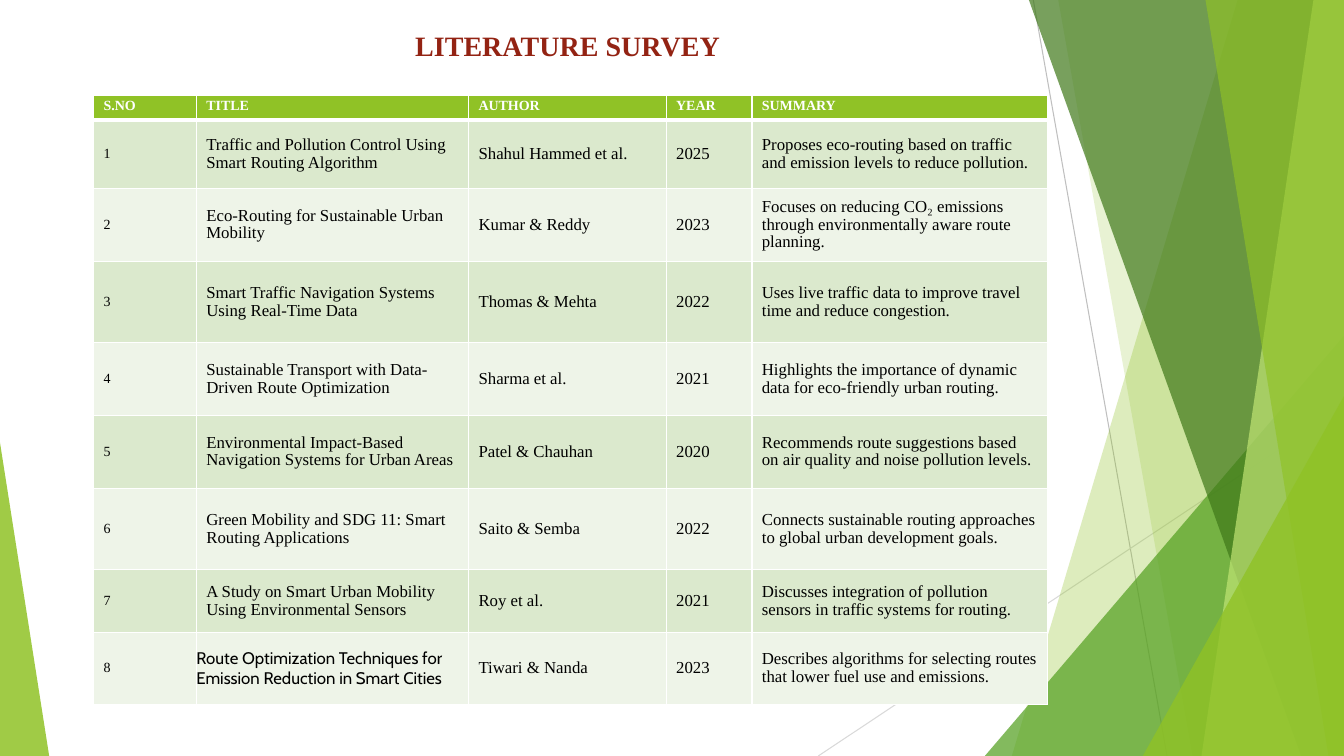
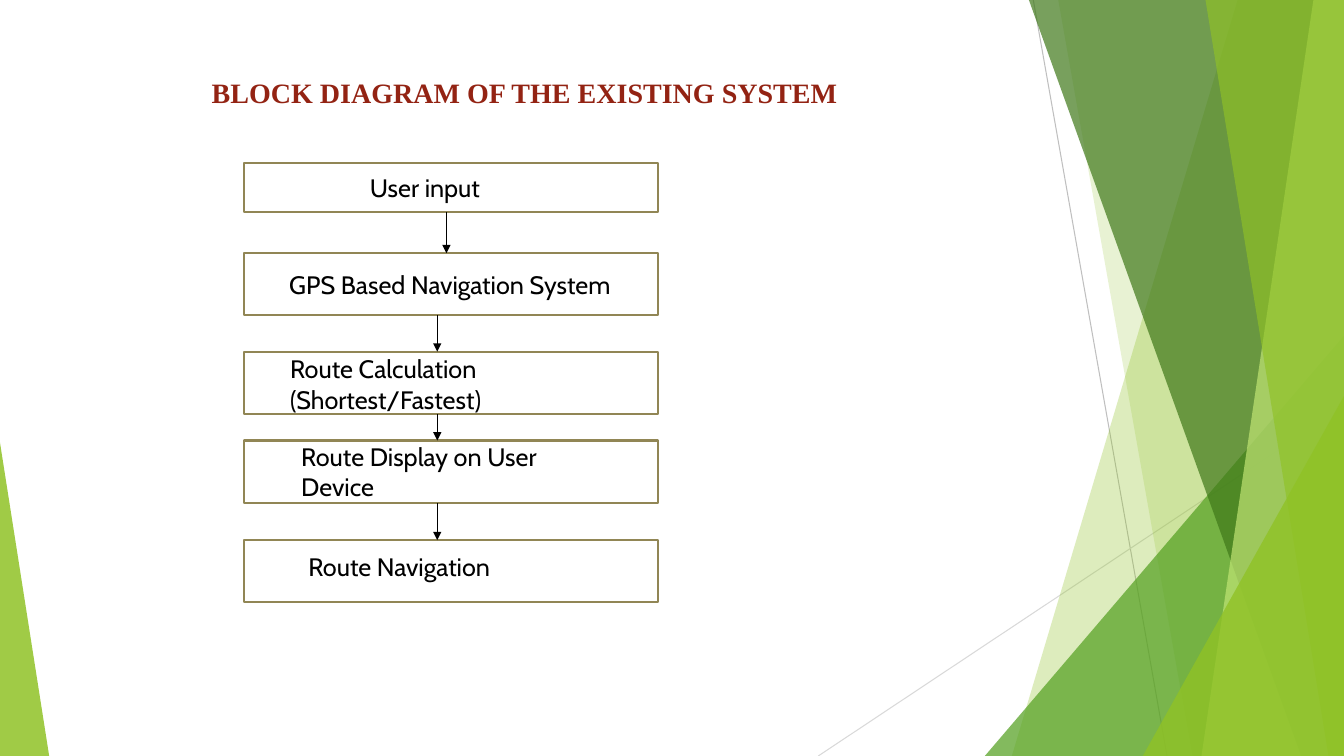
from itertools import pairwise

from lxml.etree import SubElement
from pptx import Presentation
from pptx.dml.color import RGBColor
from pptx.enum.shapes import MSO_CONNECTOR as Connector, MSO_SHAPE as Preset
from pptx.enum.text import MSO_ANCHOR as Anchor, MSO_AUTO_SIZE as AutoSize, PP_ALIGN as Align
from pptx.oxml.ns import qn
from pptx.util import Cm, Pt

WIDTH, HEIGHT = 33.87, 19.05
SERIF, SANS = "Times New Roman", "Cabin"
WHITE, BLACK, RED, OLIVE = "FFFFFF", "000000", "932313", "918655"
LIME, GREEN, FOREST, PALE = "90C226", "54A021", "3F7819", "C0E474"
BANDS = "DBE9CD", "EEF4E8"

COLUMNS = 2.59, 6.86, 4.98, 2.16, 7.44
ROWS = 0.61, 1.73, 1.83, 2.06, 1.83, 1.83, 2.06, 1.57, 1.83
HEADINGS = "S.NO", "TITLE", "AUTHOR", "YEAR", "SUMMARY"
PAPERS = [
    ("Traffic and Pollution Control Using Smart Routing Algorithm", "Shahul Hammed et al.", "2025",
     "Proposes eco-routing based on traffic and emission levels to reduce pollution."),
    ("Eco-Routing for Sustainable Urban Mobility", "Kumar & Reddy", "2023",
     "Focuses on reducing CO₂ emissions through environmentally aware route planning."),
    ("Smart Traffic Navigation Systems Using Real-Time Data", "Thomas & Mehta", "2022",
     "Uses live traffic data to improve travel time and reduce congestion."),
    ("Sustainable Transport with Data-Driven Route Optimization", "Sharma et al.", "2021",
     "Highlights the importance of dynamic data for eco-friendly urban routing."),
    ("Environmental Impact-Based Navigation Systems for Urban Areas", "Patel & Chauhan", "2020",
     "Recommends route suggestions based on air quality and noise pollution levels."),
    ("Green Mobility and SDG 11: Smart Routing Applications", "Saito & Semba", "2022",
     "Connects sustainable routing approaches to global urban development goals."),
    ("A Study on Smart Urban Mobility Using Environmental Sensors", "Roy et al.", "2021",
     "Discusses integration of pollution sensors in traffic systems for routing."),
    ("Route Optimization Techniques for Emission Reduction in Smart Cities", "Tiwari & Nanda", "2023",
     "Describes algorithms for selecting routes that lower fuel use and emissions."),
]

BOX_LEFT, BOX_WIDTH = 6.15, 10.44
STAGES = [
    (4.11, 1.24, "User input", (9.07, 4.22, 9.19, 1.02)),
    (6.38, 1.57, "GPS Based Navigation System", (7.04, 6.65, 9.58, 1.02)),
    (8.86, 1.57, "Route Calculation (Shortest/Fastest)", (7.06, 8.79, 8.61, 1.8)),
    (11.1, 1.57, "Route Display on User Device", (7.34, 11, 7.8, 1.8)),
    (13.61, 1.57, "Route Navigation", (7.52, 13.77, 8.61, 1.02)),
]
ARROW_X = 11.25, 11.02, 11.02, 11.02


def color(code):
    """Turn a hex string into a colour."""
    return RGBColor.from_string(code)


class Deck:
    """Holds the presentation, its style and the current page."""

    def __init__(self):
        """Open a wide presentation with its title-only layout."""
        self.show = Presentation()
        self.show.slide_width, self.show.slide_height = Cm(WIDTH), Cm(HEIGHT)
        self.layout = self.show.slide_layouts[5]
        self.page = None

    def new_page(self, title, left, top, width, height):
        """Add a page and format its title."""
        self.page = self.show.slides.add_slide(self.layout)
        box = self.page.shapes.title
        self.place(box, left, top, width, height)
        frame = box.text_frame
        frame.auto_size, frame.word_wrap = AutoSize.NONE, True
        frame.vertical_anchor = Anchor.TOP
        self.add_text(frame, title, 20, RED, SERIF, bold=True)

    def place(self, box, *lengths):
        """Set the position and size of a box."""
        box.left, box.top, box.width, box.height = map(Cm, lengths)

    def add_text(self, frame, text, size, ink, font, bold=False, spacing=None):
        """Put one left-aligned run into a text frame."""
        para = frame.paragraphs[0]
        para.alignment, para.line_spacing = Align.LEFT, spacing
        span = para.add_run()
        span.text = text
        span.font.name, span.font.size, span.font.bold = font, Pt(size), bold
        span.font.color.rgb = color(ink)

    def paint(self, shape, fill, opacity=100, line=None):
        """Give a shape its fill, opacity and outline."""
        shape.shadow.inherit = False
        shape.fill.solid()
        shape.fill.fore_color.rgb = color(fill)
        if opacity < 100:
            tint = shape.element.spPr.find(".//" + qn("a:srgbClr"))
            SubElement(tint, qn("a:alpha"), val=str(opacity * 1000))
        if line:
            shape.line.color.rgb, shape.line.width = color(line), Pt(1.5)
        else:
            shape.line.fill.background()
        return shape

    def rectangle(self, *lengths):
        """Draw an outlined white box."""
        box = self.page.shapes.add_shape(Preset.RECTANGLE, *map(Cm, lengths))
        self.paint(box, WHITE, line=OLIVE)

    def triangle(self, left, top, width, peak, fill, opacity):
        """Draw a right triangle that stands on the bottom edge."""
        lengths = map(Cm, (left, top, width, HEIGHT - top))
        shape = self.page.shapes.add_shape(Preset.ISOSCELES_TRIANGLE, *lengths)
        shape.adjustments[0] = peak
        return self.paint(shape, fill, opacity)

    def blade(self, top_x, bottom_x, fill, opacity):
        """Draw a full-height band from a slanted edge to the right edge."""
        outline = self.page.shapes.build_freeform(Cm(top_x), 0)
        corners = (WIDTH, 0), (WIDTH, HEIGHT), (bottom_x, HEIGHT)
        outline.add_line_segments([(Cm(x), Cm(y)) for x, y in corners])
        return self.paint(outline.convert_to_shape(), fill, opacity)

    def line(self, points, ink, weight, arrow=False):
        """Draw a straight line, with an arrowhead if wanted."""
        link = self.page.shapes.add_connector(Connector.STRAIGHT, *map(Cm, points))
        link.line.color.rgb, link.line.width = color(ink), Pt(weight)
        if arrow:
            SubElement(link.element.spPr.find(qn("a:ln")), qn("a:tailEnd"), type="triangle")
        SubElement(link.element.spPr, qn("a:effectLst"))
        return link

    def label(self, text, *lengths):
        """Add a wrapping text box."""
        frame = self.page.shapes.add_textbox(*map(Cm, lengths)).text_frame
        frame.word_wrap = True
        self.add_text(frame, text, 18, BLACK, SANS)

    def decorate(self):
        """Draw the shared green facets and move them into the layout."""
        facets = [
            self.line((26.04, 0, 29.41, HEIGHT), "BFBFBF", 0.75),
            self.line((WIDTH, 10.24, 20.62, HEIGHT), "D9D9D9", 0.75),
            self.blade(31.19, 25.5, LIME, 30),
            self.blade(26.67, 30.05, LIME, 20),
            self.triangle(24.82, 8.46, 9.05, 1, GREEN, 72),
            self.blade(25.93, 32.79, FOREST, 70),
            self.blade(33.1, 30.28, PALE, 70),
            self.blade(30.38, 33.48, LIME, 65),
            self.triangle(28.8, 9.98, 5.07, 1, LIME, 80),
            self.triangle(0, 11.15, 1.24, 0, LIME, 85),
        ]
        tree = self.layout.shapes.element
        for number, facet in enumerate(facets, 100):
            facet.element.xpath(".//p:cNvPr")[0].set("id", str(number))
            tree.append(facet.element)

    def cell(self, cell, text, row, column):
        """Fill, border and letter one table cell."""
        header, last_title = row == 0, (row, column) == (len(PAPERS), 1)
        heavy = {0: "lnB", 1: "lnT"}.get(row)
        for side in ("lnL", "lnR", "lnT", "lnB"):
            width = Pt(3 if side == heavy else 1)
            edge = SubElement(cell._tc.get_or_add_tcPr(), qn("a:" + side), w=str(int(width)))
            SubElement(SubElement(edge, qn("a:solidFill")), qn("a:srgbClr"), val=WHITE)
        cell.fill.solid()
        cell.fill.fore_color.rgb = color(LIME if header else BANDS[(row - 1) % 2])
        cell.vertical_anchor = Anchor.TOP if header else Anchor.MIDDLE
        cell.margin_top = cell.margin_bottom = Cm(0.08)
        cell.margin_left = cell.margin_right = Cm(0 if last_title else 0.25)
        self.add_text(cell.text_frame, text, 10 if header or column == 0 else 12,
                      WHITE if header else BLACK, SANS if last_title else SERIF,
                      bold=header, spacing=None if last_title else 0.95)

    def table(self, left, top, columns, heights, records):
        """Add a table with banded rows."""
        lengths = map(Cm, (left, top, sum(columns), sum(heights)))
        grid = self.page.shapes.add_table(len(heights), len(columns), *lengths).table
        grid.horz_banding = False
        for column, width in zip(grid.columns, columns):
            column.width = Cm(width)
        for row, height in zip(grid.rows, heights):
            row.height = Cm(height)
        for r, record in enumerate(records):
            for c, text in enumerate(record):
                self.cell(grid.cell(r, c), text, r, c)


def main():
    """Build both pages and save the deck."""
    deck = Deck()
    deck.new_page("LITERATURE SURVEY", 10.21, 0.58, 16.21, 1.55)
    deck.decorate()
    records = [HEADINGS] + [(str(n), *paper) for n, paper in enumerate(PAPERS, 1)]
    deck.table(2.36, 2.41, COLUMNS, ROWS, records)

    deck.new_page("BLOCK DIAGRAM OF THE EXISTING SYSTEM", 5.08, 1.77, 16.69, 1.78)
    for top, height, text, place in STAGES:
        deck.rectangle(BOX_LEFT, top, BOX_WIDTH, height)
        deck.label(text, *place)
    for x, (upper, lower) in zip(ARROW_X, pairwise(STAGES)):
        deck.line((x, upper[0] + upper[1], x, lower[0]), BLACK, 1, arrow=True)
    deck.show.save("out.pptx")


if __name__ == "__main__":
    main()
